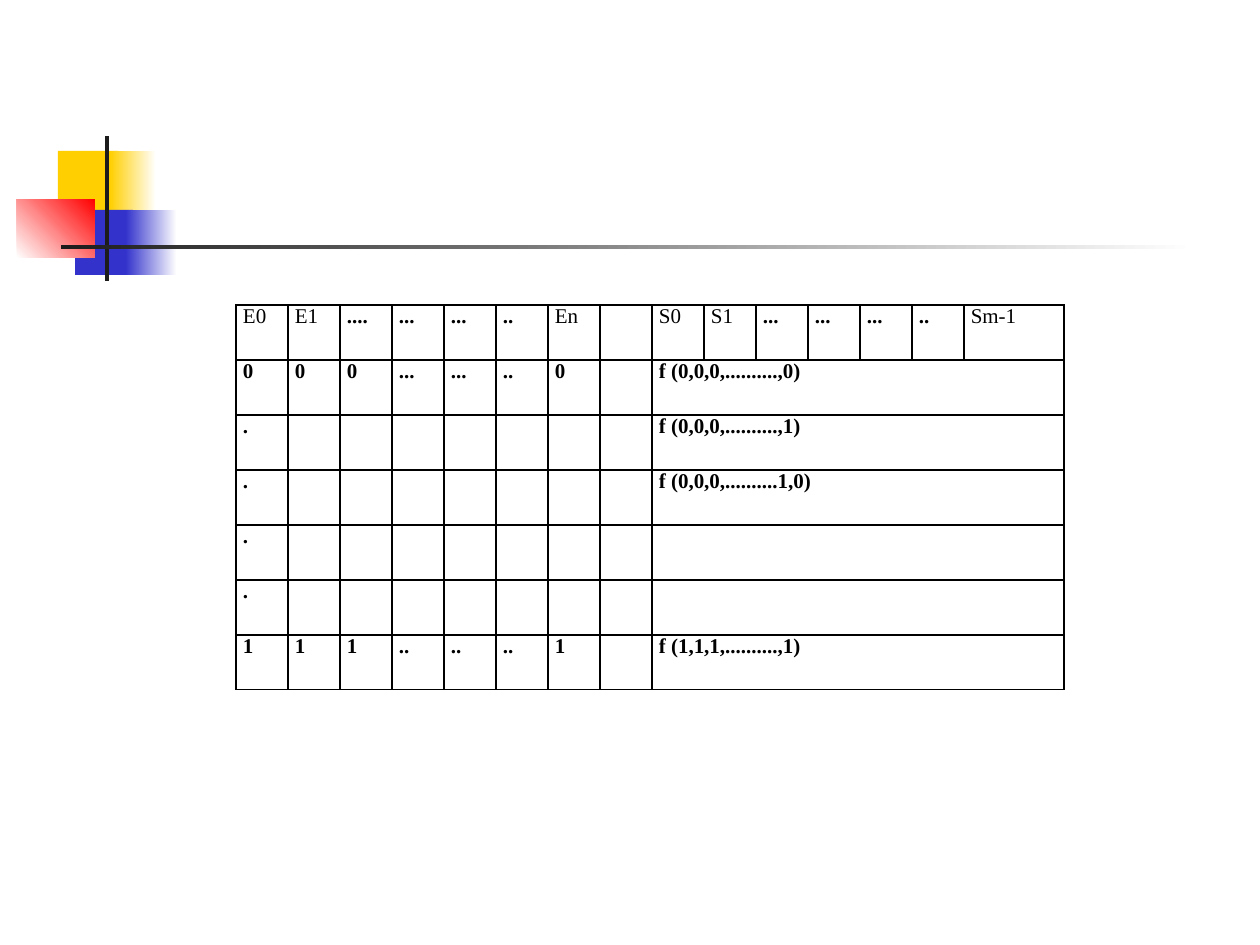
from typing import NamedTuple, Optional

from lxml.etree import SubElement
from pptx import Presentation
from pptx.dml.color import RGBColor
from pptx.enum.shapes import MSO_SHAPE
from pptx.enum.text import PP_ALIGN
from pptx.oxml.ns import qn
from pptx.util import Emu, Pt

PX_PER_INCH = 126
COLORS = {
    "yellow": "FFCF01",
    "blue": "3333CC",
    "red": "FF0000",
    "ink": "1C1C1C",
    "white": "FFFFFF",
    "black": "000000",
}
FONT = "Times New Roman"


class Block(NamedTuple):
    left: int
    top: int
    width: int
    height: int
    color: str
    fade_to: Optional[str] = None
    angle: int = 0


BLOCKS = [
    Block(58, 151, 60, 66, "yellow"),
    Block(110, 151, 46, 66, "yellow", "white"),
    Block(75, 210, 58, 65, "blue"),
    Block(126, 210, 51, 65, "blue", "white"),
    Block(17, 199, 78, 59, "white", "red", 45),
    Block(105, 136, 4, 145, "ink"),
    Block(61, 245, 1134, 4, "ink", "white"),
]

TABLE_LEFT, TABLE_TOP = 236, 305
COLUMN_WIDTHS = [52] * 14 + [100]
ROW_HEIGHT = 55
OUTPUT_COLUMN = 8
TRUTH_TABLE = [
    ["E0", "E1", "....", "...", "...", "..", "En", "",
     "S0", "S1", "...", "...", "...", "..", "Sm-1"],
    ["0", "0", "0", "...", "...", "..", "0", "", "f (0,0,0,..........,0)"],
    [".", "", "", "", "", "", "", "", "f (0,0,0,..........,1)"],
    [".", "", "", "", "", "", "", "", "f (0,0,0,..........1,0)"],
    ["."],
    ["."],
    ["1", "1", "1", "..", "..", "..", "1", "", "f (1,1,1,..........,1)"],
]


def px(length: int) -> Emu:
    return Emu(round(length * 914400 / PX_PER_INCH))


def rgb(name: str) -> RGBColor:
    return RGBColor.from_string(COLORS[name])


def draw_block(slide, block: Block) -> None:
    rectangle = slide.shapes.add_shape(
        MSO_SHAPE.RECTANGLE, *(px(length) for length in block[:4])
    )
    rectangle.shadow.inherit = False
    rectangle.line.fill.background()
    if block.fade_to is None:
        rectangle.fill.solid()
        rectangle.fill.fore_color.rgb = rgb(block.color)
        return
    rectangle.fill.gradient()
    rectangle.fill.gradient_angle = block.angle
    for stop, color in zip(rectangle.fill.gradient_stops, (block.color, block.fade_to)):
        stop.color.rgb = rgb(color)


def draw_borders(cell) -> None:
    properties = cell._tc.get_or_add_tcPr()
    for side in ("lnL", "lnR", "lnT", "lnB"):
        border = SubElement(properties, qn(f"a:{side}"), w=str(Pt(1)))
        fill = SubElement(border, qn("a:solidFill"))
        SubElement(fill, qn("a:srgbClr"), val=COLORS["black"])


def format_cell(cell) -> None:
    cell.margin_left = cell.margin_right = px(7)
    cell.margin_top = cell.margin_bottom = 0
    draw_borders(cell)
    cell.fill.background()


def write_cell(cell, text: str, bold: bool) -> None:
    cell.text = text
    paragraph = cell.text_frame.paragraphs[0]
    paragraph.alignment = PP_ALIGN.JUSTIFY
    paragraph.font.name = FONT
    paragraph.font.size = Pt(12)
    paragraph.font.bold = bold
    paragraph.font.color.rgb = rgb("black")


def draw_truth_table(slide) -> None:
    row_count, column_count = len(TRUTH_TABLE), len(COLUMN_WIDTHS)
    table = slide.shapes.add_table(
        row_count, column_count, px(TABLE_LEFT), px(TABLE_TOP),
        px(sum(COLUMN_WIDTHS)), px(ROW_HEIGHT * row_count),
    ).table
    table.first_row = table.horz_banding = False
    for column, width in zip(table.columns, COLUMN_WIDTHS):
        column.width = px(width)
    for row in table.rows:
        row.height = px(ROW_HEIGHT)
    for cell in table.iter_cells():
        format_cell(cell)
    for row_index, texts in enumerate(TRUTH_TABLE):
        if row_index > 0:
            table.cell(row_index, OUTPUT_COLUMN).merge(
                table.cell(row_index, column_count - 1)
            )
        for column_index, text in enumerate(texts):
            if text:
                bold = row_index > 0 or text.startswith(".")
                write_cell(table.cell(row_index, column_index), text, bold)


def main() -> None:
    presentation = Presentation()
    presentation.slide_width = px(1260)
    presentation.slide_height = px(945)
    slide = presentation.slides.add_slide(presentation.slide_layouts[6])
    for block in BLOCKS:
        draw_block(slide, block)
    draw_truth_table(slide)
    presentation.save("out.pptx")


if __name__ == "__main__":
    main()
